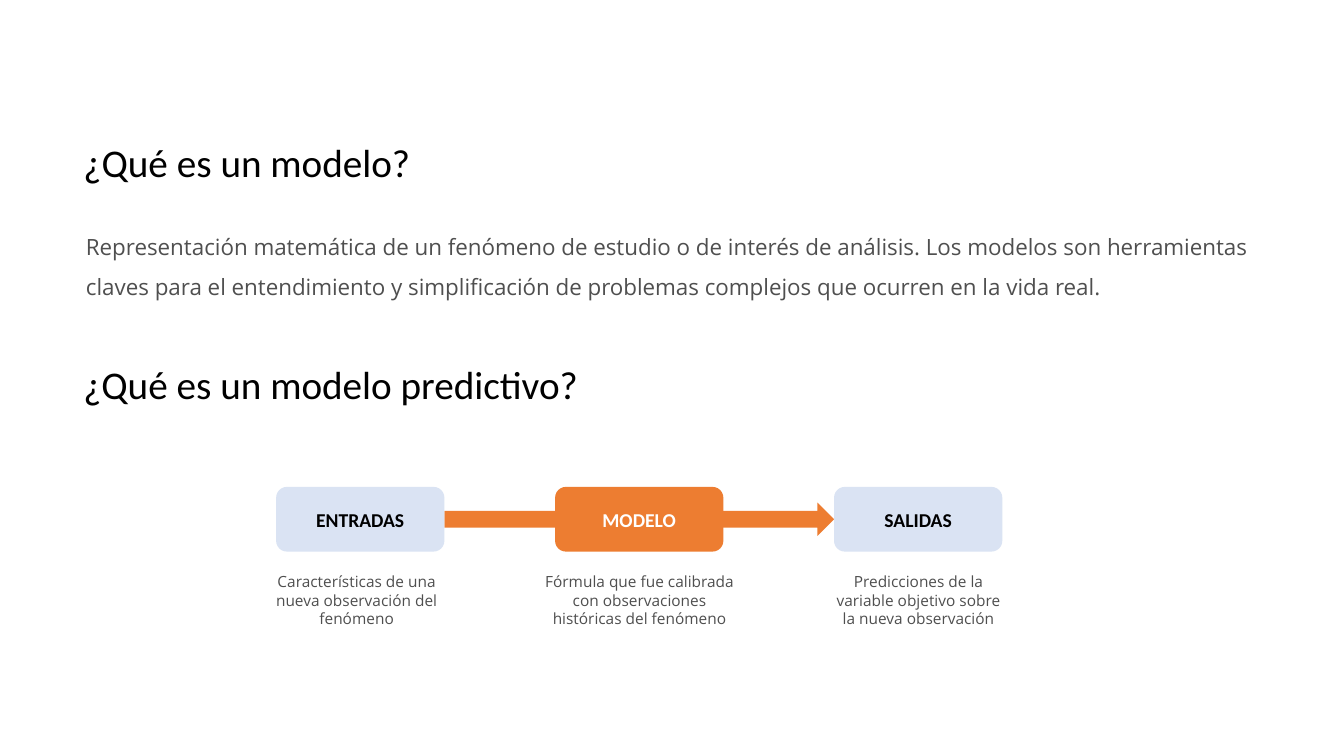
from pptx import Presentation
from pptx.dml.color import RGBColor
from pptx.enum.shapes import MSO_SHAPE
from pptx.enum.text import MSO_ANCHOR, MSO_AUTO_SIZE, PP_ALIGN
from pptx.oxml.ns import qn
from pptx.util import Cm, Pt

ORANGE = RGBColor(0xED, 0x7D, 0x31)
PALE_BLUE = RGBColor(0xDA, 0xE3, 0xF3)
BLACK = RGBColor(0, 0, 0)
WHITE = RGBColor(0xFF, 0xFF, 0xFF)
GRAY = RGBColor(0x4F, 0x4F, 0x4F)

MODEL_HEADING = "¿Qué es un modelo?"
PREDICTIVE_HEADING = "¿Qué es un modelo predictivo?"
DEFINITION = (
    "Representación matemática de un fenómeno de estudio o de interés de análisis. "
    "Los modelos son herramientas claves para el entendimiento y simplificación de "
    "problemas complejos que ocurren en la vida real."
)
STAGES = [
    ("ENTRADAS", PALE_BLUE, BLACK,
     "Características de una nueva observación del fenómeno", 6.55, 4.88),
    ("MODELO", ORANGE, WHITE,
     "Fórmula que fue calibrada con observaciones históricas del fenómeno", 13.34, 5.56),
    ("SALIDAS", PALE_BLUE, BLACK,
     "Predicciones de la variable objetivo sobre la nueva observación", 20.8, 4.7),
]

STAGE_LEFT, STAGE_TOP, STAGE_STEP = 6.96, 12.27, 7.03
STAGE_WIDTH, STAGE_HEIGHT = 4.24, 1.63
ARROW_HEIGHT = 0.84
CAPTION_TOP, CAPTION_HEIGHT = 14.3, 1.68


def place(shape, left, top, width, height):
    shape.left, shape.top = Cm(left), Cm(top)
    shape.width, shape.height = Cm(width), Cm(height)


def write(shape, text, font_name, size, color, alignment=PP_ALIGN.LEFT,
          anchor=MSO_ANCHOR.TOP, bold=False, line_spacing=1.0, space_before=0):
    frame = shape.text_frame
    frame.text = text
    frame.word_wrap = True
    frame.auto_size = MSO_AUTO_SIZE.NONE
    frame.vertical_anchor = anchor
    paragraph = frame.paragraphs[0]
    paragraph.alignment = alignment
    paragraph.line_spacing = line_spacing
    paragraph.space_before = Pt(space_before)
    font = paragraph.runs[0].font
    font.name, font.size, font.bold = font_name, Pt(size), bold
    font.color.rgb = color


def write_heading(shape, text, top, width):
    place(shape, 1.85, top, width, 1.63)
    write(shape, text, "Calibri", 28, BLACK, line_spacing=0.9, space_before=10)


def add_block(slide, preset, left, top, width, height, color):
    shape = slide.shapes.add_shape(preset, Cm(left), Cm(top), Cm(width), Cm(height))
    shape.shadow.inherit = False
    shape.fill.solid()
    shape.fill.fore_color.rgb = color
    shape.line.fill.background()
    return shape


def add_definition(body):
    place(body, 1.91, 5.41, 30.18, 2.57)
    write(body, DEFINITION, "Open Sans", 16, GRAY, line_spacing=1.5, space_before=10)
    properties = body.text_frame.paragraphs[0]._p.get_or_add_pPr()
    properties.set("marL", "0")
    properties.set("indent", "0")
    properties.append(properties.makeelement(qn("a:buNone"), {}))


def add_flow(slide):
    arrow_left = STAGE_LEFT + STAGE_WIDTH
    arrow_width = STAGE_STEP * (len(STAGES) - 1) - STAGE_WIDTH
    arrow_top = STAGE_TOP + (STAGE_HEIGHT - ARROW_HEIGHT) / 2
    add_block(slide, MSO_SHAPE.RIGHT_ARROW, arrow_left, arrow_top,
              arrow_width, ARROW_HEIGHT, ORANGE)
    for index, (name, fill, color, caption, left, width) in enumerate(STAGES):
        stage = add_block(slide, MSO_SHAPE.ROUNDED_RECTANGLE,
                          STAGE_LEFT + index * STAGE_STEP, STAGE_TOP,
                          STAGE_WIDTH, STAGE_HEIGHT, fill)
        write(stage, name, "Calibri", 14, color, PP_ALIGN.CENTER,
              MSO_ANCHOR.MIDDLE, bold=True)
        caption_box = slide.shapes.add_textbox(
            Cm(left), Cm(CAPTION_TOP), Cm(width), Cm(CAPTION_HEIGHT))
        write(caption_box, caption, "Open Sans", 11, GRAY, PP_ALIGN.CENTER)


def main():
    presentation = Presentation()
    presentation.slide_width, presentation.slide_height = Cm(33.87), Cm(19.05)
    slide = presentation.slides.add_slide(presentation.slide_layouts[1])
    write_heading(slide.shapes.title, MODEL_HEADING, 3.48, 10.24)
    add_definition(slide.placeholders[1])
    predictive_heading = slide.shapes.add_textbox(0, 0, 0, 0)
    write_heading(predictive_heading, PREDICTIVE_HEADING, 9.09, 15.47)
    add_flow(slide)
    presentation.save("out.pptx")


if __name__ == "__main__":
    main()
